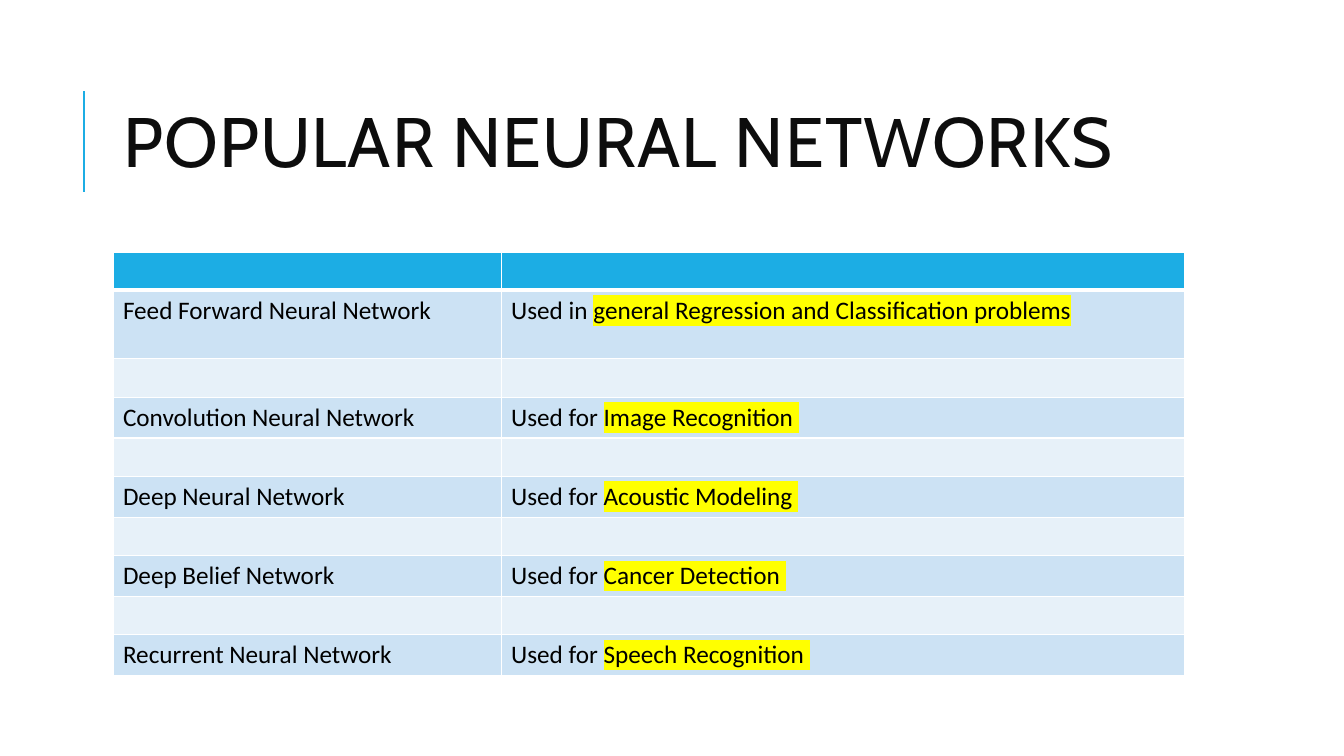
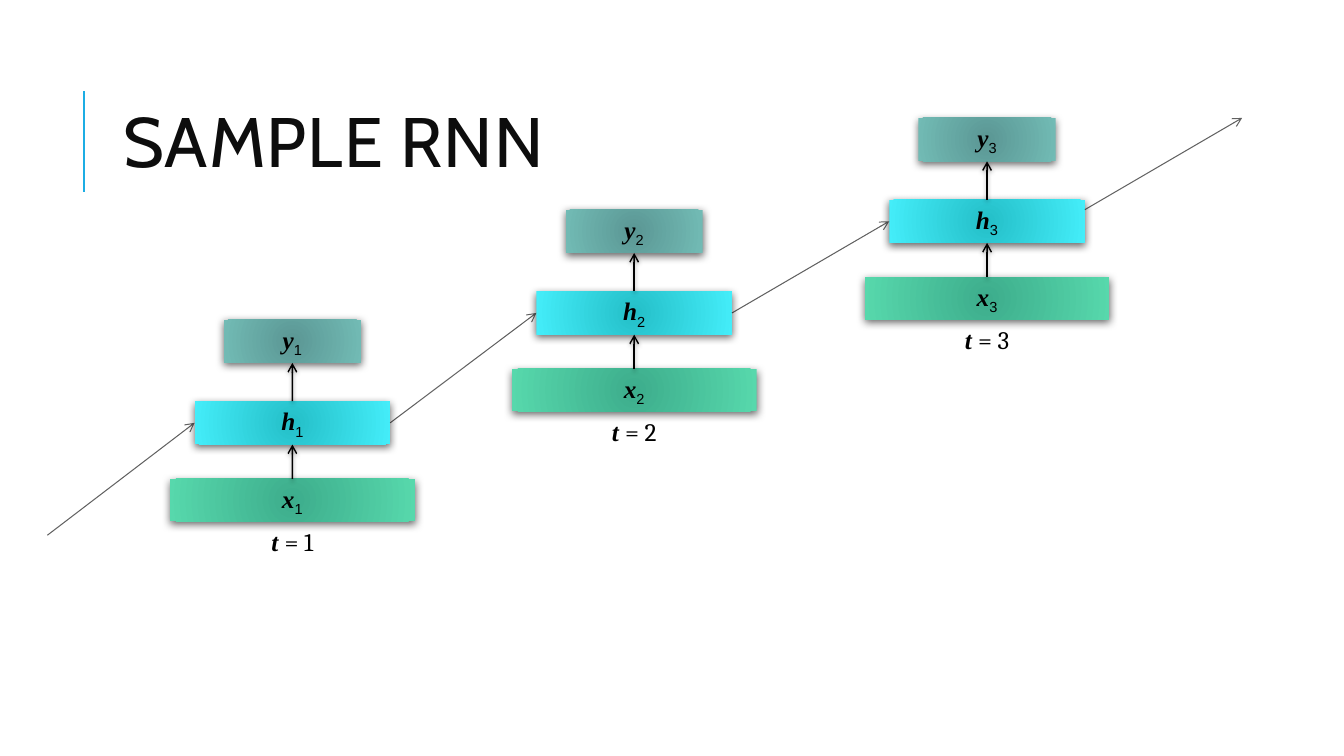
"""Build two slides on neural networks: a table of uses and an unrolled RNN."""
import pptx
import pptx.dml.color
import pptx.enum.dml
import pptx.enum.shapes
import pptx.enum.text
import pptx.oxml.ns
import pptx.util
from lxml import etree

RGB = pptx.dml.color.RGBColor
ACCENT = RGB(0x1C, 0xAD, 0xE4)
INK = RGB(0x0D, 0x0D, 0x0D)
BLACK = RGB(0, 0, 0)
WHITE = RGB(0xFF, 0xFF, 0xFF)
YELLOW = RGB(0xFF, 0xFF, 0)
DARK_BAND = RGB(0xCC, 0xE2, 0xF4)
LIGHT_BAND = RGB(0xE7, 0xF1, 0xF9)
INNER_TEAL, OUTER_TEAL = RGB(0x5B, 0x97, 0x94), RGB(0x72, 0xBB, 0xB5)
INNER_CYAN, OUTER_CYAN = RGB(0x24, 0xBF, 0xC8), RGB(0x44, 0xED, 0xF9)
INNER_GREEN, OUTER_GREEN = RGB(0x3D, 0xAD, 0x8C), RGB(0x57, 0xD8, 0xAC)

Inches, Pt, qn = pptx.util.Inches, pptx.util.Pt, pptx.oxml.ns.qn
SubElement = etree.SubElement
TOP, LEFT, BOTTOM, RIGHT = range(4)
TITLE_LEFT, CONTENT_WIDTH = Inches(1.12), Inches(10.63)


def set_shadow(shape, opacity=0, blur=0, distance=0):
    effects = SubElement(shape._element.spPr, qn("a:effectLst"))
    if opacity:
        shadow = SubElement(effects, qn("a:outerShdw"), blurRad=str(Pt(blur)),
                            dist=str(Pt(distance)), dir="5400000", rotWithShape="0")
        color = SubElement(shadow, qn("a:srgbClr"), val=str(BLACK))
        SubElement(color, qn("a:alpha"), val=str(opacity * 1000))


def draw_line(page, start, end, color, width, arrow=True):
    points = [Inches(value) for point in (start, end)
              for value in (point if isinstance(point[0], float) else (0, 0))]
    line = page.shapes.add_connector(pptx.enum.shapes.MSO_CONNECTOR.STRAIGHT, *points)
    if not isinstance(start[0], float):
        line.begin_connect(*start)
    if not isinstance(end[0], float):
        line.end_connect(*end)
    line.line.color.rgb = color
    line.line.width = Pt(width)
    if arrow:
        SubElement(line.line._get_or_add_ln(), qn("a:tailEnd"), type="arrow")
    return line


deck = pptx.Presentation()
deck.slide_width, deck.slide_height = Inches(13.33), Inches(7.5)

pages = []
for heading in ("POPULAR NEURAL NETWORKS", "SAMPLE RNN"):
    page = deck.slides.add_slide(deck.slide_layouts[5])
    set_shadow(draw_line(page, (0.83, 1.9), (0.83, 0.9), ACCENT, 1.5, arrow=False))
    title = page.shapes.title
    title.left, title.top = TITLE_LEFT, Inches(0.64)
    title.width, title.height = CONTENT_WIDTH, Inches(1.64)
    frame = title.text_frame
    frame.text = heading
    frame.auto_size = pptx.enum.text.MSO_AUTO_SIZE.NONE
    frame.vertical_anchor = pptx.enum.text.MSO_ANCHOR.MIDDLE
    para = frame.paragraphs[0]
    para.alignment = pptx.enum.text.PP_ALIGN.LEFT
    para.line_spacing = 0.8
    span = para.runs[0]
    span.font.name, span.font.size = "Cabin", Pt(50)
    span.font.color.rgb = INK
    span._r.get_or_add_rPr().set("spc", "80")
    pages.append(page)
table_page, diagram_page = pages

networks = [
    ("Feed Forward Neural Network", "Used in ", "general Regression and Classification problems"),
    ("Convolution Neural Network", "Used for ", "Image Recognition "),
    ("Deep Neural Network", "Used for ", "Acoustic Modeling "),
    ("Deep Belief Network", "Used for ", "Cancer Detection "),
    ("Recurrent Neural Network", "Used for ", "Speech Recognition "),
]
row_count = 2 * len(networks)
table = table_page.shapes.add_table(row_count, 2, TITLE_LEFT, Inches(2.5),
                                    CONTENT_WIDTH, Inches(4.14)).table
table.columns[0].width, table.columns[1].width = Inches(3.85), Inches(6.78)
for row in range(row_count):
    has_text = row % 2 == 1
    table.rows[row].height = Inches(0.68 if row == 1 else 0.39 if has_text else 0.38)
    for column in range(2):
        cell = table.cell(row, column)
        cell.fill.solid()
        cell.fill.fore_color.rgb = ACCENT if row == 0 else DARK_BAND if has_text else LIGHT_BAND
        properties = cell._tc.get_or_add_tcPr()
        for index, side in enumerate("LRTB"):
            heavy = (row, side) in ((0, "B"), (1, "T"))
            border = etree.Element(qn(f"a:ln{side}"), w=str(Pt(3 if heavy else 0.96)))
            SubElement(SubElement(border, qn("a:solidFill")), qn("a:srgbClr"), val=str(WHITE))
            properties.insert(index, border)
        para = cell.text_frame.paragraphs[0]
        if not has_text:
            SubElement(para._p, qn("a:endParaRPr"), sz="1600")
            continue
        name, lead, purpose = networks[row // 2]
        for text in (name,) if column == 0 else (lead, purpose):
            span = para.add_run()
            span.text = text
            span.font.name, span.font.size = "Calibri", Pt(18)
            span.font.color.rgb = BLACK
            if text == purpose:
                highlight = etree.Element(qn("a:highlight"))
                SubElement(highlight, qn("a:srgbClr"), val=str(YELLOW))
                span._r.rPr.find(qn("a:solidFill")).addnext(highlight)

layers = [
    ("x", 0.77, 2.43, 0.42, INNER_GREEN, OUTER_GREEN),
    ("h", 0, 1.94, 0.43, INNER_CYAN, OUTER_CYAN),
    ("y", -0.81, 1.36, 0.43, INNER_TEAL, OUTER_TEAL),
]
hidden_boxes = []
for step, (center, top) in enumerate([(2.9, 3.98), (6.29, 2.89), (9.79, 1.98)], start=1):
    below = None
    for letter, offset, width, height, inner, outer in layers:
        box = diagram_page.shapes.add_shape(
            pptx.enum.shapes.MSO_SHAPE.RECTANGLE, Inches(center - width / 2),
            Inches(top + offset), Inches(width), Inches(height))
        box.line.fill.background()
        box.fill.gradient()
        for stop, color in zip(box.fill.gradient_stops, (inner, outer)):
            stop.color.rgb = color
        gradient = box._element.spPr.find(qn("a:gradFill"))
        for index, stop in enumerate(gradient.iter(qn("a:gs"))):
            stop.set("pos", str(index * 100000))
        gradient.remove(gradient.find(qn("a:lin")))
        circle = SubElement(gradient, qn("a:path"), path="circle")
        SubElement(circle, qn("a:fillToRect"), l="50000", t="50000", r="50000", b="50000")
        set_shadow(box, 60, 6, 2)
        para = box.text_frame.paragraphs[0]
        para.alignment = pptx.enum.text.PP_ALIGN.CENTER
        for text, font in ((letter, "Times New Roman"), (str(step), "Arial")):
            span = para.add_run()
            span.text = text
            span.font.name, span.font.size = font, Pt(18)
            span.font.color.rgb = BLACK
            span.font.bold = span.font.italic = text == letter
        span._r.rPr.set("baseline", "-25000")
        if below is not None:
            set_shadow(draw_line(diagram_page, (below, TOP), (box, BOTTOM), BLACK, 1), 38, 3.1, 1.6)
        below = box
        if letter == "h":
            hidden_boxes.append(box)

    label = diagram_page.shapes.add_textbox(Inches(center - 0.39), Inches(top + 1.19),
                                            Inches(0.78), Inches(0.4))
    label.text_frame.word_wrap = False
    label.text_frame.auto_size = pptx.enum.text.MSO_AUTO_SIZE.SHAPE_TO_FIT_TEXT
    para = label.text_frame.paragraphs[0]
    para.alignment = pptx.enum.text.PP_ALIGN.CENTER
    for text, font in (("t ", "Times New Roman"), (f"= {step}", "Cambria")):
        span = para.add_run()
        span.text = text
        span.font.name, span.font.size = font, Pt(18)
        span.font.color.rgb = BLACK
        span.font.bold = span.font.italic = text == "t "

first, second, third = hidden_boxes
for start, end in [
    ((0.47, 5.31), (first, LEFT)),
    ((first, RIGHT), (second, LEFT)),
    ((second, RIGHT), (third, LEFT)),
    ((10.76, 2.08), (12.32, 1.17)),
]:
    arrow = draw_line(diagram_page, start, end, BLACK, 0.75)
    for color in arrow._element.spPr.iter(qn("a:srgbClr")):
        SubElement(color, qn("a:alpha"), val="61000")
    set_shadow(arrow)

deck.save("out.pptx")
